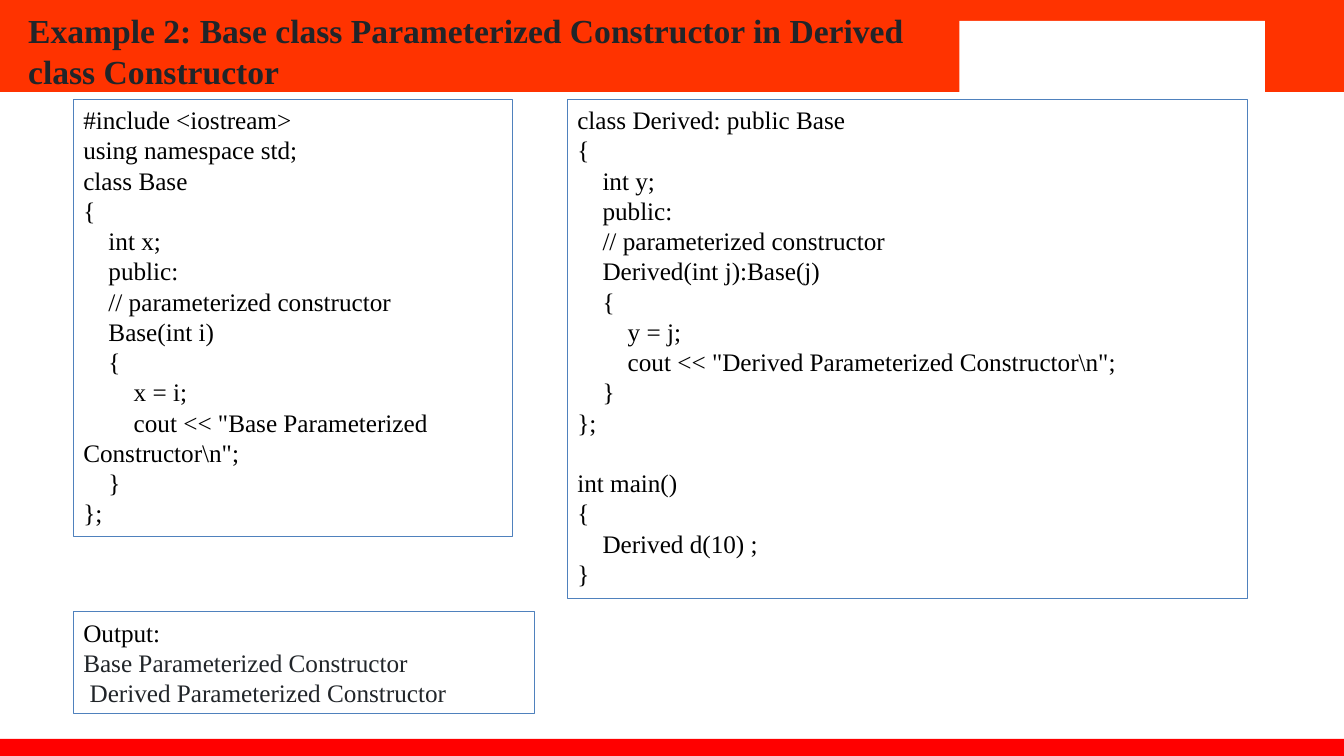
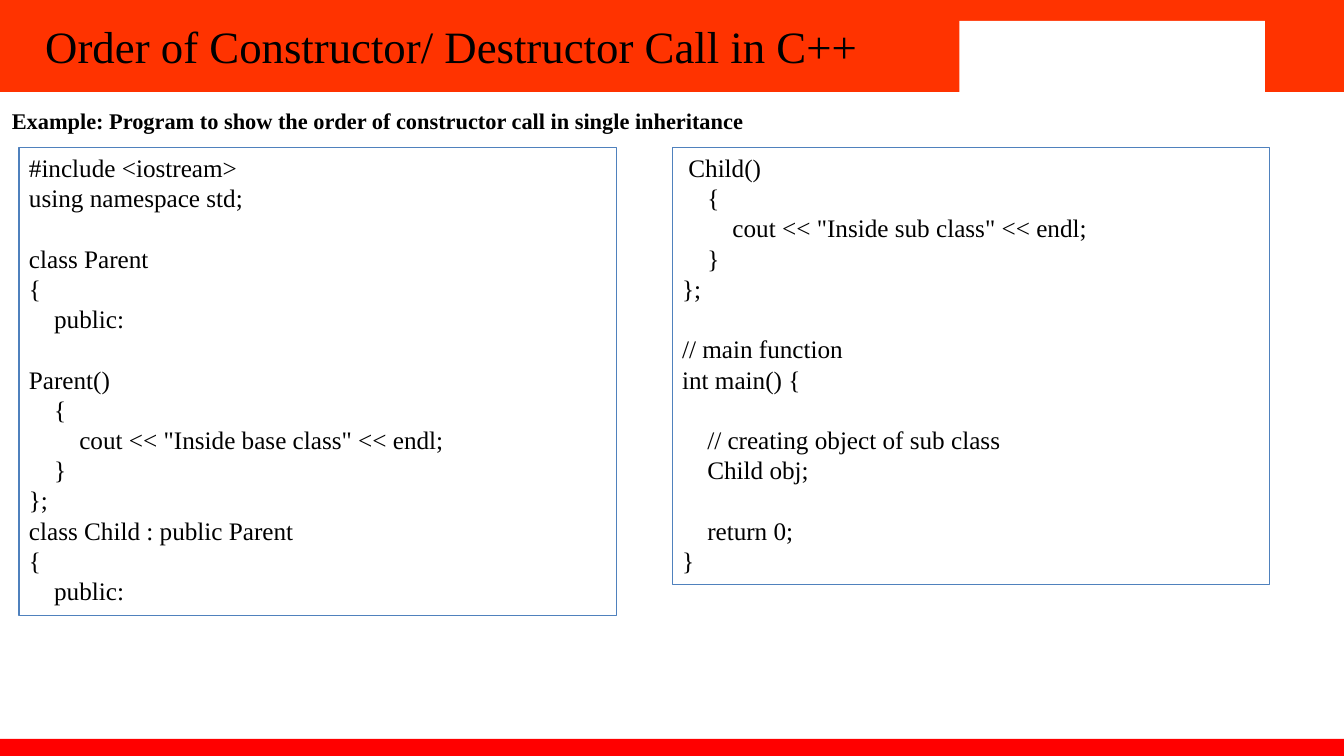
import pptx
import pptx.dml.color
import pptx.enum.shapes
import pptx.enum.text
import pptx.util

Cm, Pt = pptx.util.Cm, pptx.util.Pt
ANCHOR = pptx.enum.text.MSO_ANCHOR

COLOURS = {
    "band": "FF3300", "footer": "FF0000", "white": "FFFFFF",
    "border": "4F81BD", "black": "000000", "slate": "212529",
}
FONT = "Times New Roman"
CODE_SIZE = 18
LINE_FACTOR = 1.2
SPACE_WIDTH = 0.25  # of the font size
WIDTH, HEIGHT = 33.87, 19.05

# Areas are (left, top, width, height) in centimetres
BANDS = [
    ((0, 0, WIDTH, 2.32), "band"),
    ((24.18, 0.53, 7.7, 1.91), "white"),
    ((0, 18.62, WIDTH, HEIGHT - 18.62), "footer"),
]

BASE_CLASS = r"""#include <iostream>
using namespace std;
class Base
{
    int x;
    public:
    // parameterized constructor
    Base(int i)
    {
        x = i;
        cout << "Base Parameterized Constructor\n";
    }
};"""

DERIVED_CLASS = r"""class Derived: public Base
{
    int y;
    public:
    // parameterized constructor
    Derived(int j):Base(j)
    {
        y = j;
        cout << "Derived Parameterized Constructor\n";
    }
};

int main()
{
    Derived d(10) ;
}"""

OUTPUT = """Output:
Base Parameterized Constructor
 Derived Parameterized Constructor"""

PARENT_CLASS = """#include <iostream>
using namespace std;

class Parent
{
    public:

Parent()
    {
        cout << "Inside base class" << endl;
    }
};
class Child : public Parent
{
    public:"""

CHILD_CLASS = """ Child()
    {
        cout << "Inside sub class" << endl;
    }
};

// main function
int main() {

    // creating object of sub class
    Child obj;

    return 0;
}"""

# Headings: area, text, size, bold, colour
# Panels: area, text, colour of the lines after the first
PAGES = [
    {
        "headings": [
            ((0.71, 0.13, 23.57, 2.29),
             "Example 2: Base class Parameterized Constructor in Derived class Constructor",
             24, True, "slate"),
        ],
        "panels": [
            ((1.85, 2.51, 11.07, 11.02), BASE_CLASS, "black"),
            ((14.3, 2.51, 17.15, 12.57), DERIVED_CLASS, "black"),
            ((1.85, 15.42, 11.63, 2.57), OUTPUT, "slate"),
        ],
    },
    {
        "headings": [
            ((1.14, 0.33, 21.95, 1.65),
             "Order of Constructor/ Destructor Call in C++", 32, False, "black"),
            ((0.3, 2.69, 23.95, 0.69),
             "Example: Program to show the order of constructor call in single inheritance",
             16, True, "black"),
        ],
        "panels": [
            ((0.48, 3.71, 15.06, 11.79), PARENT_CLASS, "black"),
            ((16.94, 3.71, 15.06, 11.02), CHILD_CLASS, "black"),
        ],
    },
]


def colour(name):
    return pptx.dml.color.RGBColor.from_string(COLOURS[name])


def style(para, size, ink, bold=False):
    para.font.name = FONT
    para.font.size = Pt(size)
    para.font.bold = bold
    para.font.color.rgb = colour(ink)
    para.line_spacing = Pt(round(size * LINE_FACTOR, 1))


def add_band(page, area, fill):
    band = page.shapes.add_shape(
        pptx.enum.shapes.MSO_SHAPE.RECTANGLE, *map(Cm, area))
    band.shadow.inherit = False
    band.fill.solid()
    band.fill.fore_color.rgb = colour(fill)
    band.line.fill.background()


def add_heading(page, area, text, size, bold, ink):
    frame = page.shapes.add_textbox(*map(Cm, area)).text_frame
    frame.word_wrap = True
    frame.vertical_anchor = ANCHOR.MIDDLE
    frame.margin_left = frame.margin_right = 0
    frame.margin_top = frame.margin_bottom = 0
    para = frame.paragraphs[0]
    para.text = text
    style(para, size, ink, bold)


def add_panel(page, area, text, later_ink):
    box = page.shapes.add_textbox(*map(Cm, area))
    box.line.color.rgb = colour("border")
    box.line.width = Pt(0.75)
    frame = box.text_frame
    frame.word_wrap = True
    frame.vertical_anchor = ANCHOR.TOP

    # Leading spaces become a first-line indent, an empty line a gap
    para, gap = None, 0
    for line in text.splitlines():
        words = line.lstrip()
        if not words:
            gap += CODE_SIZE * LINE_FACTOR
            continue
        ink = later_ink if para else "black"
        para = frame.add_paragraph() if para else frame.paragraphs[0]
        para.text = words
        style(para, CODE_SIZE, ink)
        para.space_before = Pt(round(gap, 1))
        indent = Pt((len(line) - len(words)) * CODE_SIZE * SPACE_WIDTH)
        properties = para._p.get_or_add_pPr()
        properties.set("marL", "0")
        properties.set("indent", str(int(indent)))
        gap = 0


def main():
    deck = pptx.Presentation()
    deck.slide_width, deck.slide_height = Cm(WIDTH), Cm(HEIGHT)
    for content in PAGES:
        page = deck.slides.add_slide(deck.slide_layouts[6])
        for band in BANDS:
            add_band(page, *band)
        for heading in content["headings"]:
            add_heading(page, *heading)
        for panel in content["panels"]:
            add_panel(page, *panel)
    deck.save("out.pptx")


if __name__ == "__main__":
    main()
